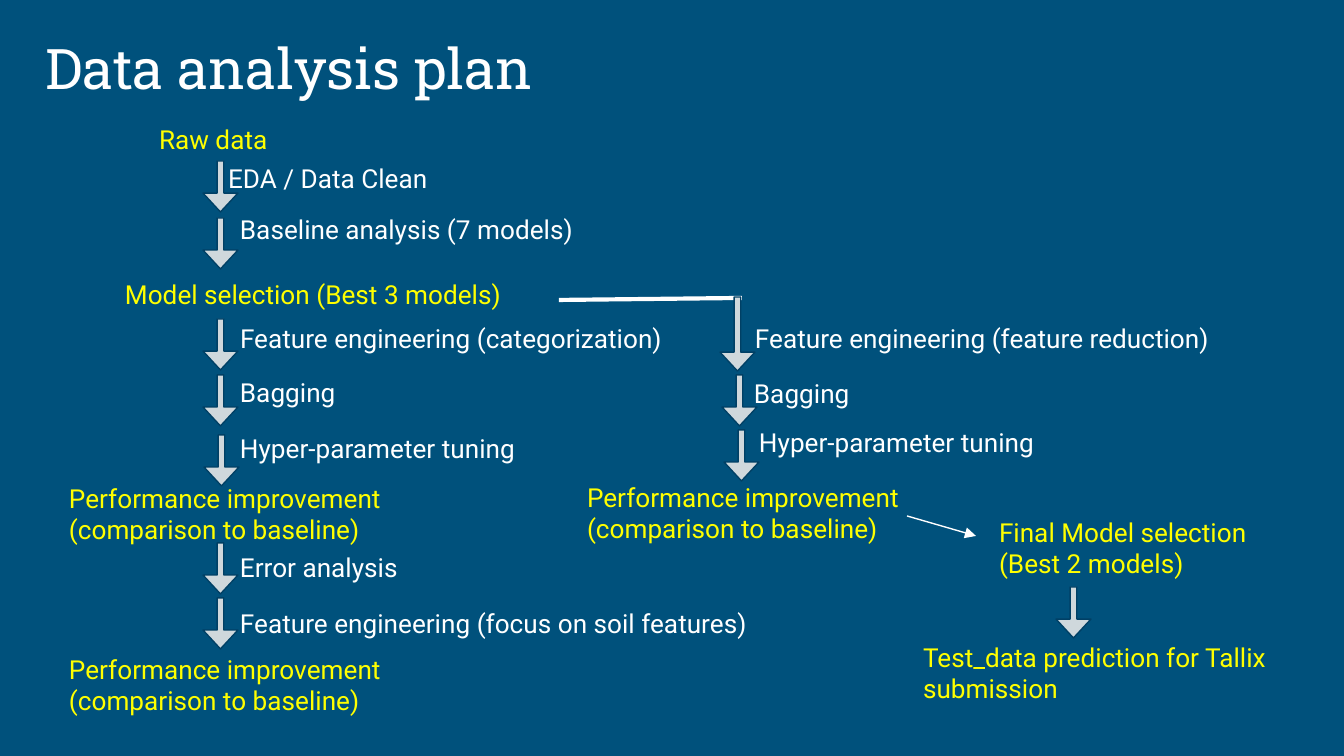
from dataclasses import dataclass
from lxml.etree import SubElement
from pptx import Presentation
from pptx.dml.color import RGBColor
from pptx.enum.shapes import MSO_CONNECTOR as CONN, MSO_SHAPE as SHAPE
from pptx.enum.text import MSO_ANCHOR as ANCHOR, MSO_AUTO_SIZE as AUTO, PP_ALIGN as ALIGN
from pptx.oxml.ns import qn
from pptx.util import Pt

SCALE = 9144000 / 1344


@dataclass(frozen=True)
class Theme:
    back: str = "00517C"
    white: str = "FFFFFF"
    result: str = "FFFF00"
    arrow: str = "CFD8DC"
    edge: str = "004065"
    head_font: str = "Roboto Slab"
    body_font: str = "Roboto"
    head_size: int = 30
    body_size: int = 14
    pad: int = 13


T = Theme()


def px(n):
    return round(n * SCALE)


def rgb(value):
    return RGBColor.from_string(value)


def write(sp, text, color=T.white, font=T.body_font, size=T.body_size, anchor=ANCHOR.TOP):
    tf = sp.text_frame
    tf.word_wrap = True
    tf.auto_size = AUTO.NONE
    tf.vertical_anchor = anchor
    tf.margin_left = tf.margin_right = tf.margin_top = tf.margin_bottom = px(T.pad)
    p = tf.paragraphs[0]
    p.alignment = ALIGN.LEFT
    r = p.add_run()
    r.text = text
    r.font.name = font
    r.font.size = Pt(size)
    r.font.color.rgb = rgb(color)


def label(s, x, y, w, text, color, h=51):
    sp = s.shapes.add_textbox(px(x), px(y), px(w), px(h))
    write(sp, text, color)


def down_arrow(s, x, y, h=51):
    sp = s.shapes.add_shape(SHAPE.DOWN_ARROW, px(x), px(y), px(35), px(h))
    sp.adjustments[0], sp.adjustments[1] = 0.19, 0.54
    sp.shadow.inherit = False
    sp.fill.solid()
    sp.fill.fore_color.rgb = rgb(T.arrow)
    sp.line.color.rgb = rgb(T.edge)
    sp.line.width = Pt(0.75)


def link(s, x1, y1, x2, y2, width, head=False):
    c = s.shapes.add_connector(CONN.STRAIGHT, px(x1), px(y1), px(x2), px(y2))
    c.line.color.rgb = rgb(T.white)
    c.line.width = Pt(width)
    if head:
        SubElement(c.line._get_or_add_ln(), qn("a:tailEnd"), type="triangle")
    SubElement(c._element.spPr, qn("a:effectLst"))


def title(s, x, y, w, h, text):
    sp = s.shapes.title
    sp.left, sp.top, sp.width, sp.height = px(x), px(y), px(w), px(h)
    write(sp, text, font=T.head_font, size=T.head_size, anchor=ANCHOR.BOTTOM)


def flow(s, x, y, arrows, results, steps=()):
    for dx, dy, *h in arrows:
        down_arrow(s, x + dx, y + dy, *h)
    for color, labels in ((T.result, results), (T.white, steps)):
        for dx, dy, w, text in labels:
            label(s, x + dx, y + dy, w, text, color)


PERFORMANCE = "Performance improvement (comparison to baseline)"

prs = Presentation()
prs.slide_width, prs.slide_height = px(1344), px(756)
s = prs.slides.add_slide(prs.slide_layouts[5])
s.background.fill.solid()
s.background.fill.fore_color.rgb = rgb(T.back)

title(s, 32, 13, 958, 101, "Data analysis plan")
flow(
    s, 56, 110,
    arrows=[(147, dy) for dy in (51, 108, 209, 265)] + [(148, 325), (147, 433), (147, 488)],
    results=[
        (90, 0, 148, "Raw data"),
        (56, 155, 441, "Model selection (Best 3 models)"),
        (0, 359, 485, PERFORMANCE),
        (0, 530, 485, PERFORMANCE),
    ],
    steps=[
        (159, 39, 317, "EDA / Data Clean"),
        (171, 90, 398, "Baseline analysis (7 models)"),
        (171, 199, 591, "Feature engineering (categorization)"),
        (171, 253, 398, "Bagging"),
        (171, 309, 398, "Hyper-parameter tuning"),
        (171, 428, 398, "Error analysis"),
        (171, 484, 679, "Feature engineering (focus on soil features)"),
    ],
)
link(s, 559, 300, 742, 298, 2.25)
flow(
    s, 574, 297,
    arrows=[(146, 0, 74), (148, 78), (150, 133)],
    results=[(0, 171, 426, PERFORMANCE)],
    steps=[
        (168, 12, 543, "Feature engineering (feature reduction)"),
        (167, 67, 398, "Bagging"),
        (172, 116, 398, "Hyper-parameter tuning"),
    ],
)
link(s, 907, 516, 976, 536, 0.75, head=True)
flow(
    s, 910, 503,
    arrows=[(146, 84)],
    results=[
        (76, 0, 317, "Final Model selection (Best 2 models)"),
        (0, 125, 426, "Test_data prediction for Tallix submission"),
    ],
)
prs.save("out.pptx")
